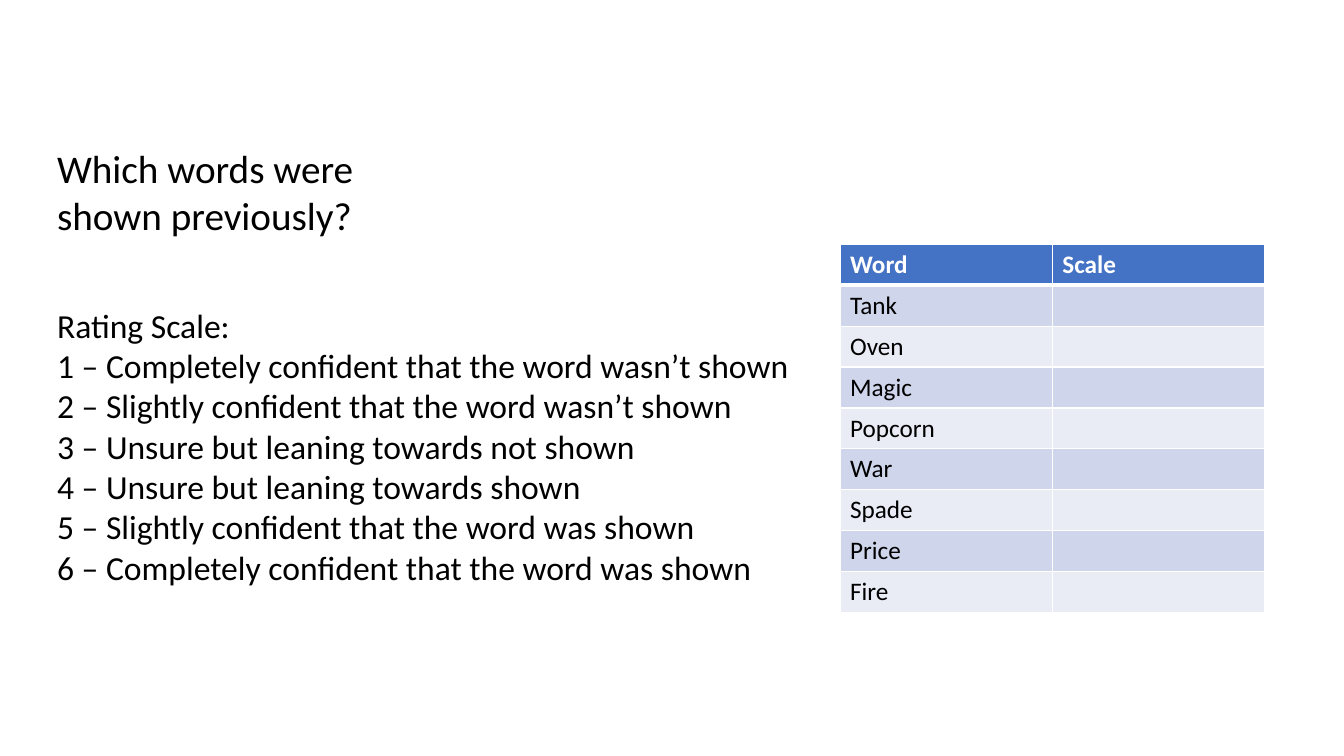
from lxml import etree
from pptx import Presentation
from pptx.dml.color import RGBColor
from pptx.enum import text
from pptx.oxml import ns
from pptx.util import Cm, Pt

FONT = "Calibri"
COLOURS = {
    "text": "000000",
    "white": "FFFFFF",
    "header": "4472C4",
    "odd_row": "CFD5EA",
    "even_row": "E9EBF5",
}
QUESTION = ["Which words were", "shown previously?"]
RATING_SCALE = [
    "Rating Scale:",
    "1 – Completely confident that the word wasn’t shown",
    "2 – Slightly confident that the word wasn’t shown",
    "3 – Unsure but leaning towards not shown",
    "4 – Unsure but leaning towards shown",
    "5 – Slightly confident that the word was shown",
    "6 – Completely confident that the word was shown",
]
HEADINGS = ["Word", "Scale"]
WORDS = ["Tank", "Oven", "Magic", "Popcorn", "War", "Spade", "Price", "Fire"]

TEXT_LEFT = Cm(1.19)
TABLE_LEFT, TABLE_TOP = Cm(21.17), Cm(6.16)
COLUMN_WIDTH, ROW_HEIGHT = Cm(5.35), Cm(1.03)


def colour(name):
    return RGBColor.from_string(COLOURS[name])


def add_run(paragraph, words, size, colour_name, bold=False):
    run = paragraph.add_run()
    run.text = words
    run.font.name = FONT
    run.font.size = Pt(size)
    run.font.bold = bold
    run.font.color.rgb = colour(colour_name)


def add_lines(slide, lines, top, width, height, size, wrap):
    frame = slide.shapes.add_textbox(TEXT_LEFT, top, width, height).text_frame
    frame.word_wrap = wrap
    frame.auto_size = text.MSO_AUTO_SIZE.SHAPE_TO_FIT_TEXT
    for index, line in enumerate(lines):
        paragraph = frame.add_paragraph() if index else frame.paragraphs[0]
        add_run(paragraph, line, size, "text")


def add_borders(cell, bottom):
    properties = cell._tc.get_or_add_tcPr()
    for side, width in (("L", 1), ("R", 1), ("T", 1), ("B", bottom)):
        line = etree.SubElement(properties, ns.qn(f"a:ln{side}"), w=str(Pt(width)))
        fill = etree.SubElement(line, ns.qn("a:solidFill"))
        etree.SubElement(fill, ns.qn("a:srgbClr"), val=COLOURS["white"])


def add_word_table(slide):
    rows = [HEADINGS] + [[word, ""] for word in WORDS]
    table = slide.shapes.add_table(
        len(rows), len(HEADINGS), TABLE_LEFT, TABLE_TOP,
        COLUMN_WIDTH * len(HEADINGS), ROW_HEIGHT * len(rows),
    ).table
    for row_index, row in enumerate(rows):
        is_header = row_index == 0
        band = "header" if is_header else "odd_row" if row_index % 2 else "even_row"
        for column_index, words in enumerate(row):
            cell = table.cell(row_index, column_index)
            add_borders(cell, 3 if row_index == 0 else 1)
            cell.fill.solid()
            cell.fill.fore_color.rgb = colour(band)
            if words:
                add_run(cell.text_frame.paragraphs[0], words, 18,
                        "white" if is_header else "text", is_header)


def main():
    presentation = Presentation()
    presentation.slide_width, presentation.slide_height = Cm(33.87), Cm(19.05)
    slide = presentation.slides.add_slide(presentation.slide_layouts[6])
    add_word_table(slide)
    add_lines(slide, QUESTION, Cm(3.5), Cm(10.97), Cm(2.64), 28, True)
    add_lines(slide, RATING_SCALE, Cm(7.55), Cm(19.3), Cm(7.44), 24, False)
    presentation.save("out.pptx")


if __name__ == "__main__":
    main()
